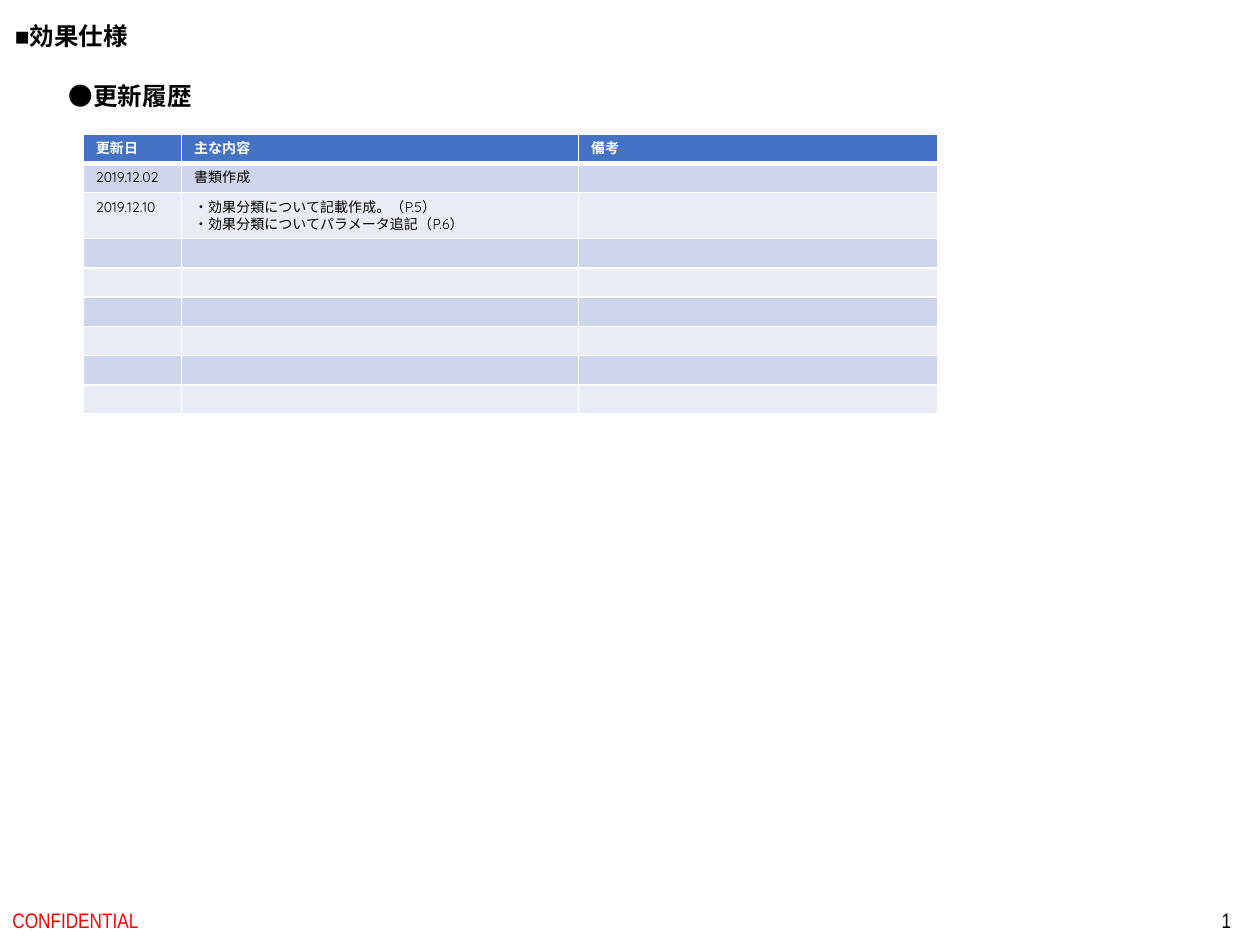
from lxml.etree import SubElement
from pptx import Presentation
from pptx.dml.color import RGBColor as Rgb
from pptx.enum.text import MSO_ANCHOR as Anchor, MSO_AUTO_SIZE as AutoSize, PP_ALIGN as Align
from pptx.oxml.ns import qn
from pptx.util import Cm, Pt

COLORS = {"ink": "000000", "white": "FFFFFF", "red": "FF0000",
          "header": "4472C4", "band_dark": "CFD5EA", "band_light": "E9EBF5"}

HEADINGS = [("■効果仕様", "Arial", 0.05, 0.3), ("●更新履歴", "Quicksand", 1.14, 1.5)]
FOOTERS = [("CONFIDENTIAL", "red", Align.LEFT, 0, 8.59),
           ("1", "ink", Align.RIGHT, 19.35, 5.72)]
HISTORY = [
    ("更新日", "主な内容", "備考"),
    ("2019.12.02", "書類作成", ""),
    ("2019.12.10", "・効果分類について記載作成。（P.5）\n・効果分類についてパラメータ追記（P.6）", ""),
] + [("", "", "")] * 6
COLUMN_WIDTHS = [1.98, 8, 7.24]
ROW_HEIGHT, TWO_LINE_HEIGHT = 0.59, 0.93


def style(paragraph, face, size, color, bold=False):
    """Format every run, for Latin and East Asian text alike."""
    for run in paragraph.runs:
        run.font.name, run.font.size, run.font.bold = face, Pt(size), bold
        run.font.color.rgb = Rgb.from_string(COLORS[color])
        latin = run.font._element.find(qn("a:latin"))
        latin.addnext(latin.makeelement(qn("a:ea"), {"typeface": face}))
    if not paragraph.runs:
        SubElement(paragraph._p, qn("a:endParaRPr"), sz=str(size * 100))


def add_text(slide, text, left, top, width, height):
    """Add a text box and return its frame."""
    frame = slide.shapes.add_textbox(Cm(left), Cm(top), Cm(width), Cm(height)).text_frame
    frame.text = text
    return frame


def add_border(cell, side, points):
    """Draw one white cell border."""
    line = SubElement(cell._tc.get_or_add_tcPr(), qn(f"a:ln{side}"), w=str(Pt(points)))
    fill = SubElement(line, qn("a:solidFill"))
    SubElement(fill, qn("a:srgbClr"), val=COLORS["white"])


def add_history(slide):
    """Add the update history table."""
    heights = [TWO_LINE_HEIGHT if "\n" in row[1] else ROW_HEIGHT for row in HISTORY]
    table = slide.shapes.add_table(len(HISTORY), len(COLUMN_WIDTHS), Cm(1.68), Cm(2.7),
                                   Cm(sum(COLUMN_WIDTHS)), Cm(sum(heights))).table
    for column, width in zip(table.columns, COLUMN_WIDTHS):
        column.width = Cm(width)
    for r, (entry, height) in enumerate(zip(HISTORY, heights)):
        table.rows[r].height = Cm(height)
        band = "header" if r == 0 else "band_dark" if r % 2 else "band_light"
        for c, text in enumerate(entry):
            cell = table.cell(r, c)
            cell.text_frame.text = text
            cell.margin_top, cell.margin_bottom = Cm(0.11), 0
            for paragraph in cell.text_frame.paragraphs:
                style(paragraph, "Quicksand", 8, "ink" if r else "white", r == 0)
            for side in "LRTB":
                thick = (r, side) in ((0, "B"), (1, "T"))
                add_border(cell, side, 3 if thick else 1)
            cell.fill.solid()
            cell.fill.fore_color.rgb = Rgb.from_string(COLORS[band])


def main():
    """Build the update history slide."""
    deck = Presentation()
    deck.slide_width, deck.slide_height = Cm(25.4), Cm(19.05)
    slide = deck.slides.add_slide(deck.slide_layouts[6])
    for text, face, left, top in HEADINGS:
        frame = add_text(slide, text, left, top, 3, 0.86)
        frame.word_wrap, frame.auto_size = False, AutoSize.SHAPE_TO_FIT_TEXT
        style(frame.paragraphs[0], face, 14, "ink", True)
    for text, color, align, left, width in FOOTERS:
        frame = add_text(slide, text, left, 18.03, width, 1.02)
        frame.word_wrap, frame.vertical_anchor = True, Anchor.MIDDLE
        frame.paragraphs[0].alignment = align
        style(frame.paragraphs[0], "Arial Narrow", 12, color)
    add_history(slide)
    deck.save("out.pptx")


if __name__ == "__main__":
    main()
